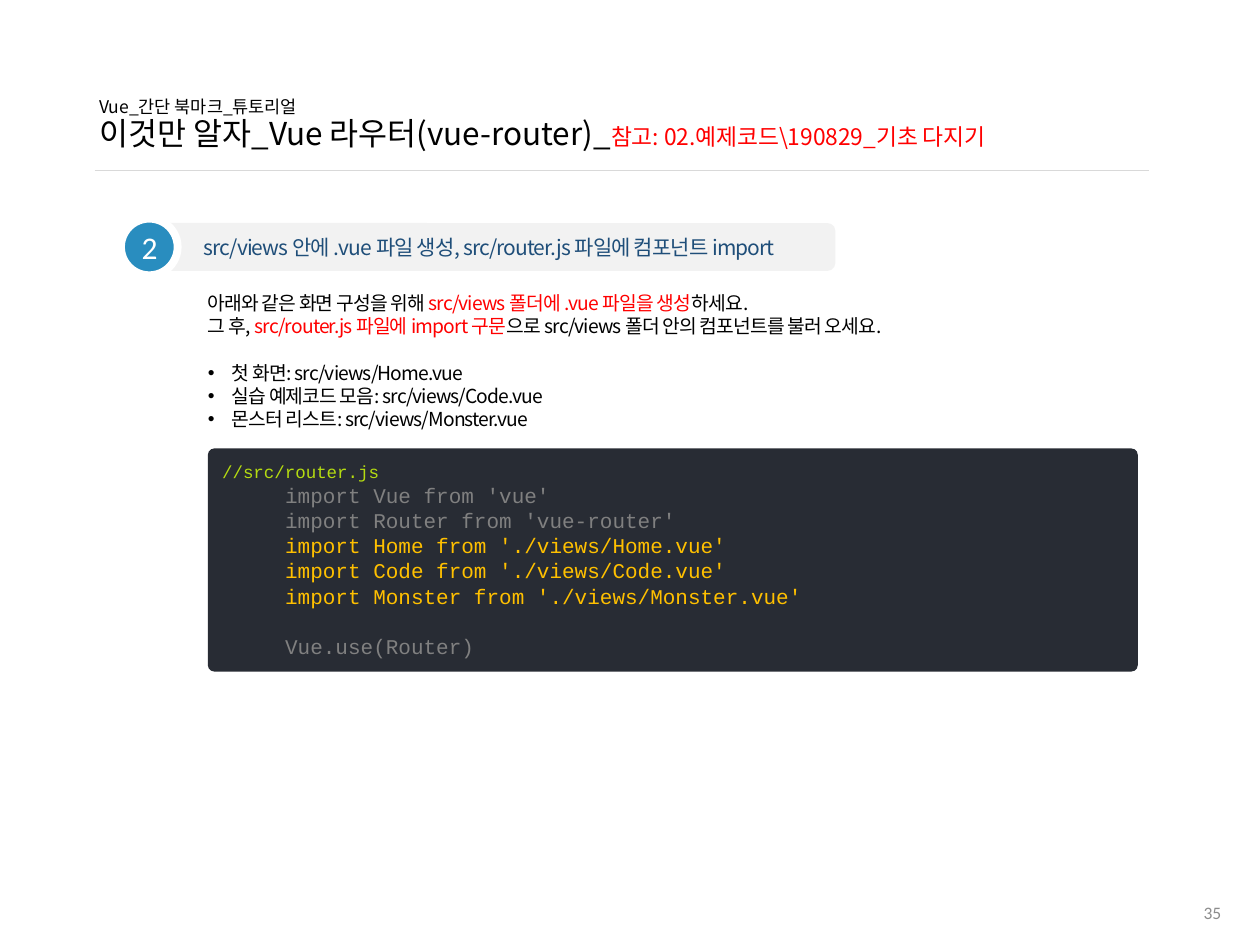
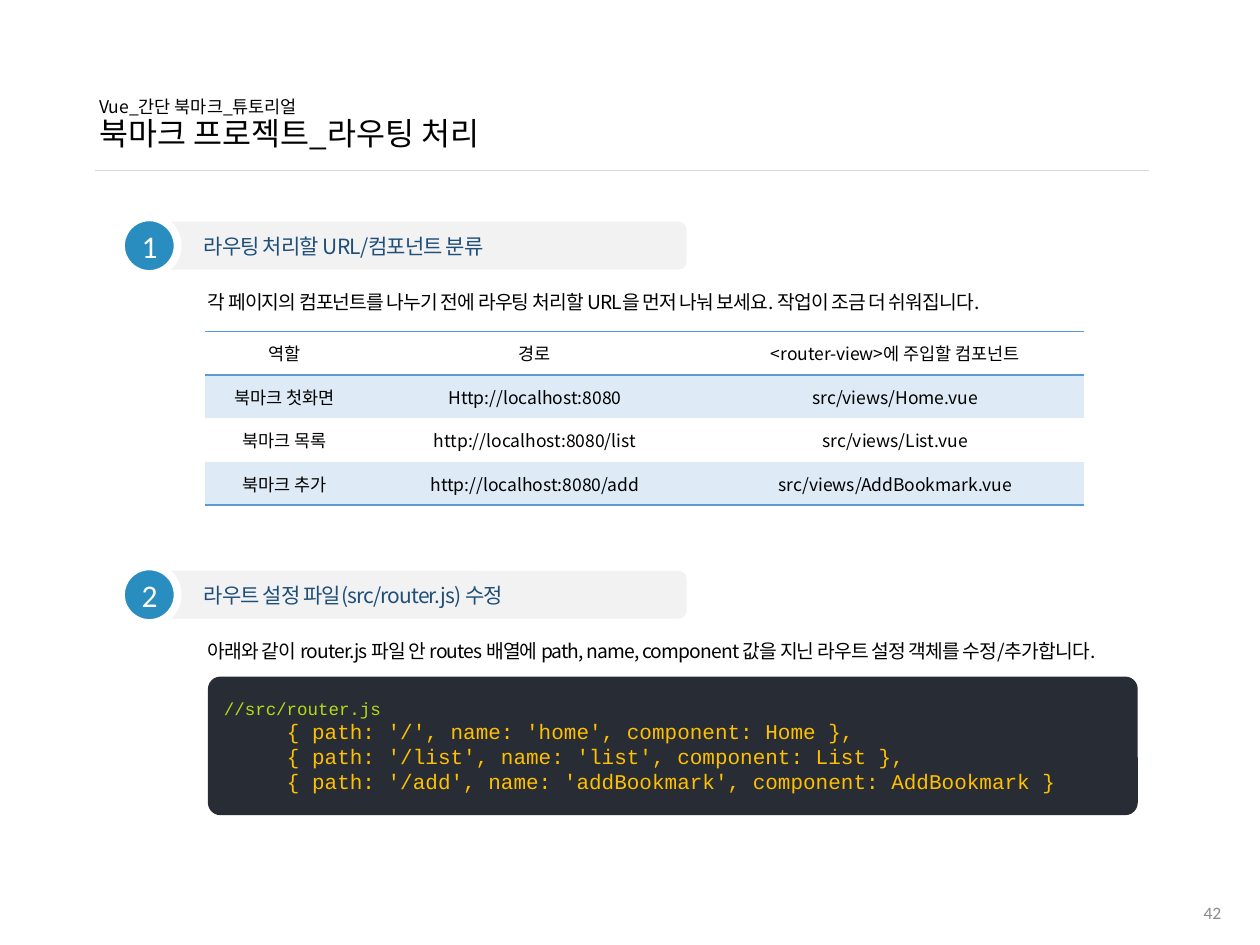
from copy import deepcopy
from dataclasses import dataclass

from lxml import etree
from pptx import Presentation
from pptx import util as u
from pptx.dml.color import RGBColor
from pptx.enum import shapes, text
from pptx.oxml.ns import qn


@dataclass(frozen=True)
class Theme:
    sans: str = "Noto Sans CJK KR"
    code: str = "Courier New"
    number: str = "Calibri"
    ink: str = "000000"
    red: str = "FF0000"
    heading: str = "1F4E79"
    pill: str = "F2F2F2"
    badge: str = "298DBF"
    white: str = "FFFFFF"
    rule: str = "D9D9D9"
    page: str = "8C8C8C"
    code_back: str = "282C34"
    comment: str = "B5DC11"
    dim: str = "808080"
    bright: str = "FFC000"
    table_line: str = "5B9BD5"
    table_band: str = "DEEBF7"
    small: float = 10
    body: float = 11
    medium: float = 12
    note: float = 13
    large: float = 18
    body_pitch: float = 13.3
    code_pitch: float = 14.4


THEME = Theme()
NO_GRID_STYLE = "{2D5ABB26-0587-4C30-8999-92F81FD0307C}"
TITLE_AND_BODY, TITLE_AND_TWO_BODIES = 1, 3
COURSE = "Vue_간단 북마크_튜토리얼"

# Body paragraphs are lists of (text, colour); code lines are (text, colour, blank lines before).
SLIDES = [
    {
        "layout": TITLE_AND_BODY,
        "page": "35",
        "title": "이것만 알자_Vue 라우터(vue-router)_",
        "note": "참고: 02.예제코드\\190829_기초 다지기",
        "sections": [{
            "number": "2",
            "heading": "src/views 안에 .vue 파일 생성, src/router.js 파일에 컴포넌트 import",
            "middle": 1.96,
            "width": 5.42,
            "body": [
                [("아래와 같은 화면 구성을 위해 ", THEME.ink),
                 ("src/views 폴더에 .vue 파일을 생성", THEME.red),
                 ("하세요.", THEME.ink)],
                [("그 후, ", THEME.ink),
                 ("src/router.js 파일에 import 구문", THEME.red),
                 ("으로 src/views 폴더 안의 컴포넌트를 불러 오세요.", THEME.ink)],
            ],
            "bullets": [
                "첫 화면: src/views/Home.vue",
                "실습 예제코드 모음: src/views/Code.vue",
                "몬스터 리스트: src/views/Monster.vue",
            ],
        }],
        "code": {
            "top": 3.56, "height": 1.77,
            "lines": [
                ("import Vue from 'vue'", THEME.dim, 0),
                ("import Router from 'vue-router'", THEME.dim, 0),
                ("import Home from './views/Home.vue'", THEME.bright, 0),
                ("import Code from './views/Code.vue'", THEME.bright, 0),
                ("import Monster from './views/Monster.vue'", THEME.bright, 0),
                ("Vue.use(Router)", THEME.dim, 1),
            ],
        },
    },
    {
        "layout": TITLE_AND_TWO_BODIES,
        "page": "42",
        "title": "북마크 프로젝트_라우팅 처리",
        "sections": [
            {
                "number": "1",
                "heading": "라우팅 처리할 URL/컴포넌트 분류",
                "middle": 1.95,
                "width": 4.24,
                "body": [[("각 페이지의 컴포넌트를 나누기 전에 라우팅 처리할 URL을 먼저 나눠 보세요. "
                           "작업이 조금 더 쉬워집니다.", THEME.ink)]],
            },
            {
                "number": "2",
                "heading": "라우트 설정 파일(src/router.js) 수정",
                "middle": 4.72,
                "width": 4.24,
                "body": [[("아래와 같이 router.js 파일 안 routes 배열에 path, name, component "
                           "값을 지닌 라우트 설정 객체를 수정/추가합니다.", THEME.ink)]],
            },
        ],
        "table": [
            ("역할", "경로", "<router-view>에 주입할 컴포넌트"),
            ("북마크 첫화면", "Http://localhost:8080", "src/views/Home.vue"),
            ("북마크 목록", "http://localhost:8080/list", "src/views/List.vue"),
            ("북마크 추가", "http://localhost:8080/add", "src/views/AddBookmark.vue"),
        ],
        "code": {
            "top": 5.37, "height": 1.1,
            "lines": [
                ("{ path: '/', name: 'home', component: Home },", THEME.bright, 0),
                ("{ path: '/list', name: 'list', component: List },", THEME.bright, 0),
                ("{ path: '/add', name: 'addBookmark', component: AddBookmark }",
                 THEME.bright, 0),
            ],
        },
    },
]


def inches(*lengths):
    return [u.Inches(length) for length in lengths]


def apply(target, **formats):
    for name, value in formats.items():
        setattr(target, name, value)


def place(shape, left, top, width, height):
    apply(shape, **dict(zip(("left", "top", "width", "height"),
                            inches(left, top, width, height))))


def add_run(paragraph, words, size, colour, font=THEME.sans, spacing=None):
    run = paragraph.add_run()
    run.text = words
    apply(run.font, name=font, size=u.Pt(size))
    run.font.color.rgb = RGBColor.from_string(colour)
    properties = run.font._element
    etree.SubElement(properties, qn("a:ea"), typeface=font)
    if spacing:
        properties.set("spc", str(round(spacing * 100)))
    return run


def next_paragraph(frame):
    """Return the empty first paragraph, or a new one once that is used."""
    first = frame.paragraphs[0]
    return frame.add_paragraph() if first.runs else first


def indent(paragraph, margin, first_line=0.0):
    properties = paragraph._p.get_or_add_pPr()
    properties.set("marL", str(u.Inches(margin)))
    properties.set("indent", str(u.Inches(first_line)))
    return properties


def add_block(slide, preset, box, fill, line=None):
    shape = slide.shapes.add_shape(preset, *inches(*box))
    shape.shadow.inherit = False
    shape.fill.solid()
    shape.fill.fore_color.rgb = RGBColor.from_string(fill)
    if line:
        shape.line.color.rgb = RGBColor.from_string(line)
        shape.line.width = u.Pt(4.5)
    else:
        shape.line.fill.background()
    apply(shape.text_frame, word_wrap=True, vertical_anchor=text.MSO_ANCHOR.MIDDLE)
    shape.text_frame.paragraphs[0].alignment = text.PP_ALIGN.LEFT
    return shape


def fill_title(slide, content):
    title = slide.shapes.title
    place(title, 0.69, 0.6, 8.62, 0.79)
    apply(title.text_frame, word_wrap=True, vertical_anchor=text.MSO_ANCHOR.MIDDLE,
          auto_size=text.MSO_AUTO_SIZE.NONE)
    paragraph = title.text_frame.paragraphs[0]
    apply(paragraph, alignment=text.PP_ALIGN.LEFT, line_spacing=0.92)
    course = add_run(paragraph, COURSE, THEME.small, THEME.ink)
    paragraph.add_line_break()
    paragraph._p[-1].append(deepcopy(course.font._element))
    add_run(paragraph, content["title"], THEME.large, THEME.ink)
    if "note" in content:
        add_run(paragraph, content["note"], THEME.note, THEME.red)


def add_frame(slide, page):
    """Draw the rule under the title and the page number."""
    rule = slide.shapes.add_connector(shapes.MSO_CONNECTOR.STRAIGHT,
                                      *inches(0.75, 1.35, 9.12, 1.35))
    rule.line.color.rgb = RGBColor.from_string(THEME.rule)
    rule.line.width = u.Pt(0.5)
    etree.SubElement(rule._element.spPr, qn("a:effectLst"))
    frame = slide.shapes.add_textbox(*inches(7.54, 7.04, 2.25, 0.4)).text_frame
    apply(frame, word_wrap=True, vertical_anchor=text.MSO_ANCHOR.MIDDLE)
    frame.paragraphs[0].alignment = text.PP_ALIGN.RIGHT
    add_run(frame.paragraphs[0], page, THEME.small, THEME.page, THEME.number)


def add_heading(slide, section):
    pill_height, badge_size = 0.38, 0.45
    middle = section["middle"]
    pill = add_block(slide, shapes.MSO_SHAPE.ROUNDED_RECTANGLE,
                     (1.21, middle - pill_height / 2, section["width"], pill_height),
                     THEME.pill)
    pill.text_frame.margin_left = u.Inches(0.39)
    add_run(pill.text_frame.paragraphs[0], section["heading"], THEME.medium,
            THEME.heading, spacing=-0.5)
    badge = add_block(slide, shapes.MSO_SHAPE.OVAL,
                      (0.96, middle - badge_size / 2, badge_size, badge_size),
                      THEME.badge, THEME.white)
    paragraph = badge.text_frame.paragraphs[0]
    paragraph.alignment = text.PP_ALIGN.CENTER
    add_run(paragraph, section["number"], THEME.large, THEME.white, THEME.number)


def fill_body(body, section):
    bullets = section.get("bullets", [])
    lines = section["body"] + [[(bullet, THEME.ink)] for bullet in bullets]
    first_bullet = len(section["body"])
    pitch = THEME.body_pitch
    place(body, 1.55, section["middle"] + 0.3, 7.76, 0.1 + (len(lines) + bool(bullets)) * pitch / 72)
    frame = body.text_frame
    apply(frame, word_wrap=True, auto_size=text.MSO_AUTO_SIZE.NONE, margin_right=0)
    for index, runs in enumerate(lines):
        paragraph = next_paragraph(frame)
        if index >= first_bullet:
            properties = indent(paragraph, 0.19, -0.19)
            etree.SubElement(properties, qn("a:buFont"), typeface="Arial")
            etree.SubElement(properties, qn("a:buChar"), char="•")
        else:
            etree.SubElement(indent(paragraph, 0), qn("a:buNone"))
        gap = pitch if index == first_bullet else 0
        apply(paragraph, line_spacing=u.Pt(pitch), space_before=u.Pt(gap))
        for words, colour in runs:
            add_run(paragraph, words, THEME.body, colour, spacing=-0.5)


def add_code(slide, code):
    panel = add_block(slide, shapes.MSO_SHAPE.ROUNDED_RECTANGLE,
                      (1.65, code["top"], 7.38, code["height"]), THEME.code_back)
    panel.adjustments[0] = 0.05 / code["height"] if code["height"] > 1.5 else 0.09
    frame = panel.text_frame
    comment = frame.paragraphs[0]
    comment.line_spacing = u.Pt(12)
    add_run(comment, "//src/router.js", THEME.small, THEME.comment, THEME.code)
    for words, colour, blank_lines in code["lines"]:
        paragraph = next_paragraph(frame)
        indent(paragraph, 0.5)
        apply(paragraph, alignment=text.PP_ALIGN.LEFT, line_spacing=u.Pt(THEME.code_pitch),
              space_before=u.Pt(blank_lines * THEME.code_pitch))
        add_run(paragraph, words, THEME.medium, colour, THEME.code)


def add_borders(cell, sides):
    properties = cell._tc.get_or_add_tcPr()
    for position, side in enumerate(sides):
        line = etree.Element(qn(f"a:ln{side}"), w=str(u.Pt(1)))
        fill = etree.SubElement(line, qn("a:solidFill"))
        etree.SubElement(fill, qn("a:srgbClr"), val=THEME.table_line)
        properties.insert(position, line)


def add_routes_table(slide, rows):
    widths = (1.25, 2.73, 2.99)
    table = slide.shapes.add_table(len(rows), len(widths),
                                   *inches(1.63, 2.63, sum(widths), 1.38)).table
    table._tbl.tblPr.find(qn("a:tableStyleId")).text = NO_GRID_STYLE
    apply(table, first_row=False, horz_banding=False)
    for column, width in zip(table.columns, widths):
        column.width = u.Inches(width)
    borders = {0: "TB", len(rows) - 1: "B"}
    for row_index, row in enumerate(rows):
        for column_index, words in enumerate(row):
            cell = table.cell(row_index, column_index)
            cell.vertical_anchor = text.MSO_ANCHOR.MIDDLE
            if row_index % 2:
                cell.fill.solid()
                cell.fill.fore_color.rgb = RGBColor.from_string(THEME.table_band)
            else:
                cell.fill.background()
            add_borders(cell, borders.get(row_index, ""))
            paragraph = cell.text_frame.paragraphs[0]
            paragraph.alignment = text.PP_ALIGN.CENTER
            add_run(paragraph, words, THEME.small, THEME.ink)


def main():
    presentation = Presentation()
    apply(presentation, slide_width=u.Inches(10), slide_height=u.Inches(7.5))
    for content in SLIDES:
        slide = presentation.slides.add_slide(presentation.slide_layouts[content["layout"]])
        fill_title(slide, content)
        add_frame(slide, content["page"])
        for index, section in enumerate(content["sections"], start=1):
            add_heading(slide, section)
            fill_body(slide.placeholders[index], section)
        if "table" in content:
            add_routes_table(slide, content["table"])
        add_code(slide, content["code"])
    presentation.save("out.pptx")


if __name__ == "__main__":
    main()
